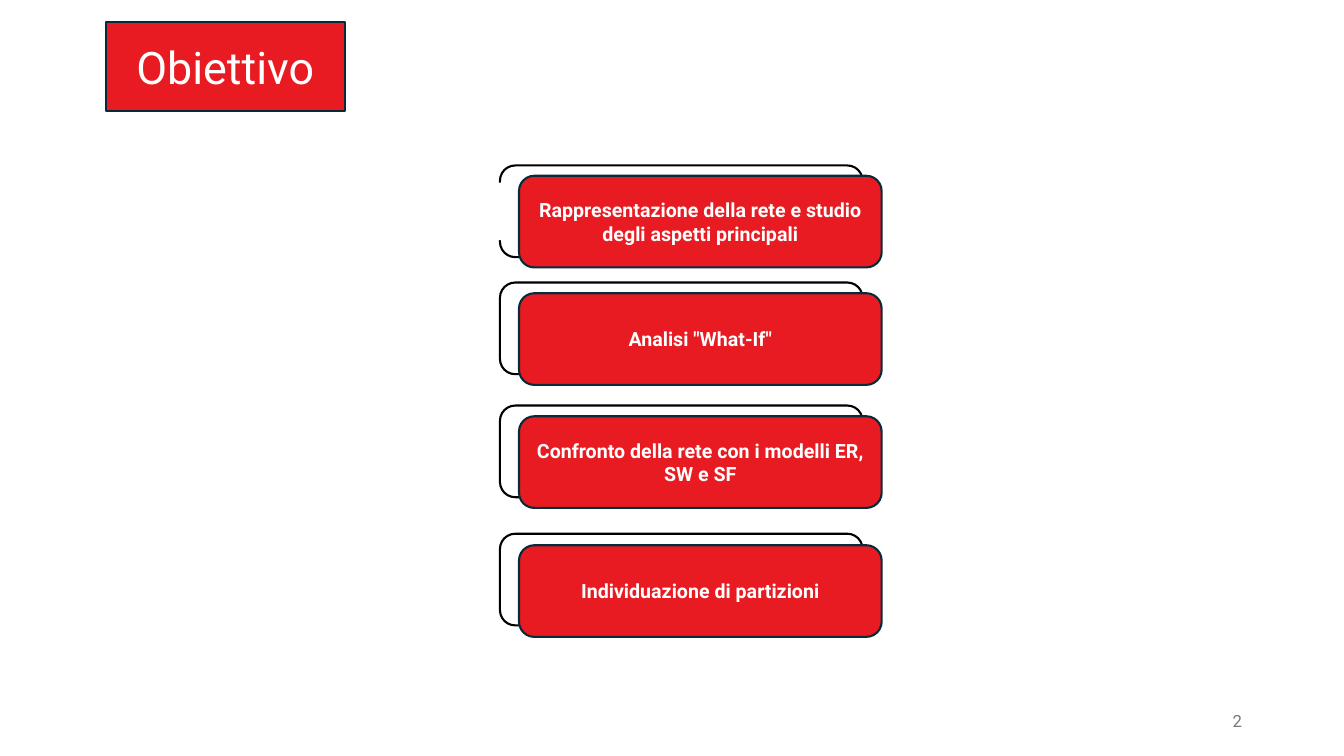
from lxml import etree
from pptx import Presentation
from pptx.dml.color import RGBColor
from pptx.enum.shapes import MSO_SHAPE as Preset
from pptx.enum.text import MSO_ANCHOR as Anchor, PP_ALIGN as Align
from pptx.oxml.ns import qn
from pptx.util import Cm, Pt

COLOURS = {
    "red": "E91B22",
    "navy": "092A39",
    "white": "FFFFFF",
    "black": "000000",
    "grey": "797979",
}
FONT = "Roboto"
CARD_SIZE = (9.14, 2.31)
BACK_LEFT = 12.6
CARD_LEFT = 13.08
GOALS = [
    ("Rappresentazione della rete e studio degli aspetti principali", 4.17, 4.43),
    ('Analisi "What-If"', 7.12, 7.39),
    ("Confronto della rete con i modelli ER, SW e SF", 10.22, 10.49),
    ("Individuazione di partizioni", 13.45, 13.74),
]


def colour(name):
    return RGBColor.from_string(COLOURS[name])


def write(shape, text, size, ink="white", bold=False, align=Align.CENTER):
    frame = shape.text_frame
    frame.word_wrap = True
    frame.vertical_anchor = Anchor.MIDDLE
    para = frame.paragraphs[0]
    para.alignment = align
    span = para.add_run()
    span.text = text
    span.font.name = FONT
    span.font.size = Pt(size)
    span.font.bold = bold
    span.font.color.rgb = colour(ink)


def paint(shape, fill, line=None):
    shape.fill.solid()
    shape.fill.fore_color.rgb = colour(fill)
    if line:
        shape.line.color.rgb = colour(line)
        shape.line.width = Pt(1.5)
    else:
        shape.line.fill.background()


def add_box(page, left, top, width, height, fill, line=None, preset=Preset.ROUNDED_RECTANGLE):
    box = page.shapes.add_shape(preset, Cm(left), Cm(top), Cm(width), Cm(height))
    box.shadow.inherit = False
    paint(box, fill, line)
    return box


def add_goal(page, text, back_top, card_top):
    add_box(page, BACK_LEFT, back_top, *CARD_SIZE, "white", "black")
    card = add_box(page, CARD_LEFT, card_top, *CARD_SIZE, "red", "navy")
    write(card, text, 14, bold=True)


def format_title(title, text):
    title.left, title.top = Cm(2.67), Cm(0.56)
    title.width, title.height = Cm(6.02), Cm(2.24)
    outline = etree.SubElement(title.element.spPr, qn("a:prstGeom"), prst="roundRect")
    etree.SubElement(outline, qn("a:avLst"))
    paint(title, "red", "navy")
    write(title, text, 32)


def add_page_number(page, number):
    box = page.shapes.add_textbox(Cm(23.93), Cm(17.65), Cm(7.62), Cm(1.02))
    write(box, number, 12, ink="grey", align=Align.RIGHT)


def main():
    deck = Presentation()
    deck.slide_width, deck.slide_height = Cm(33.87), Cm(19.05)
    page = deck.slides.add_slide(deck.slide_layouts[5])
    format_title(page.shapes.title, "Obiettivo")
    add_page_number(page, "2")
    for goal in GOALS:
        add_goal(page, *goal)
    add_box(page, 11.43, 4.6, 1.5, 1.45, "white", preset=Preset.RECTANGLE)
    deck.save("out.pptx")


if __name__ == "__main__":
    main()
